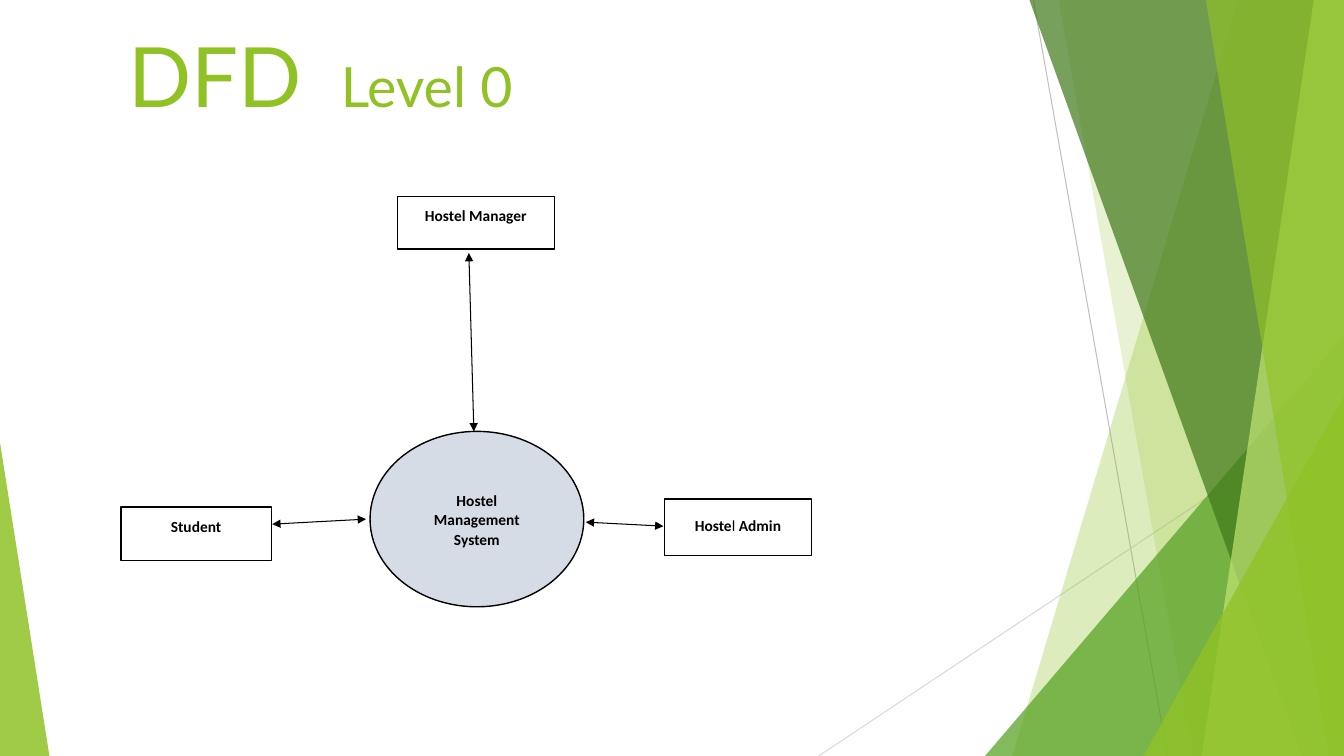
import dataclasses

import lxml.etree
import pptx
import pptx.dml.color
import pptx.enum.shapes
import pptx.enum.text
import pptx.oxml.ns
import pptx.util

Inches = pptx.util.Inches
Pt = pptx.util.Pt
Shape = pptx.enum.shapes.MSO_SHAPE
Anchor = pptx.enum.text.MSO_ANCHOR
Align = pptx.enum.text.PP_ALIGN


@dataclasses.dataclass(frozen=True)
class Theme:
    """Colours, fonts and sizes of the deck."""
    lime: str = "90C226"
    green: str = "54A021"
    forest: str = "3F7819"
    pale: str = "C0E474"
    ink: str = "000000"
    process: str = "D6DCE5"
    grey: str = "BFBFBF"
    light_grey: str = "D9D9D9"
    title_font: str = "Lato"
    label_font: str = "Calibri"
    title_size: float = 59.4
    level_size: float = 39.6
    label_size: float = 11
    outline: float = 1
    hairline: float = 0.75


@dataclasses.dataclass(frozen=True)
class Box:
    """A region in inches."""
    left: float
    top: float
    width: float
    height: float

    def inner(self, left, top, width, height):
        """Return a box placed relative to this one."""
        return Box(self.left + left, self.top + top, width, height)

    def point(self, across, down):
        """Return the slide position of a point in this box."""
        return Inches(self.left + across), Inches(self.top + down)

    def lengths(self):
        """Return left, top, width and height as slide lengths."""
        return [Inches(value) for value in dataclasses.astuple(self)]


THEME = Theme()


def rgb(colour):
    """Turn a hex string into a colour."""
    return pptx.dml.color.RGBColor.from_string(colour)


def add_child(parent, tag, **attributes):
    """Append a drawing element to a parent."""
    return lxml.etree.SubElement(parent, pptx.oxml.ns.qn(tag), attributes)


def add_span(para, text, font, size, colour, bold=False):
    """Add formatted text to a paragraph."""
    span = para.add_run()
    span.text = text
    span.font.name = font
    span.font.size = Pt(size)
    span.font.bold = bold
    span.font.color.rgb = rgb(colour)


def tint(shape, colour, opacity):
    """Fill a shape with a translucent colour and no outline."""
    shape.shadow.inherit = False
    shape.line.fill.background()
    shape.fill.solid()
    shape.fill.fore_color.rgb = rgb(colour)
    for node in shape.element.spPr.iter(pptx.oxml.ns.qn("a:srgbClr")):
        add_child(node, "a:alpha", val=str(opacity * 1000))


def add_triangle(page, box, apex, colour, opacity):
    """Draw a translucent triangle with its apex at a share of the width."""
    triangle = page.shapes.add_shape(Shape.ISOSCELES_TRIANGLE, *box.lengths())
    triangle.adjustments[0] = apex
    tint(triangle, colour, opacity)


def add_band(page, box, top_edge, bottom_edge, colour, opacity):
    """Draw a full-height band from a slanted edge to the right of the box."""
    corners = [(box.width, 0), (box.width, box.height), (bottom_edge, box.height)]
    builder = page.shapes.build_freeform(*box.point(top_edge, 0), scale=1)
    builder.add_line_segments([box.point(*corner) for corner in corners], close=True)
    tint(builder.convert_to_shape(), colour, opacity)


def add_line(page, box, start, end, colour, arrows=False):
    """Draw a thin line, with arrowheads at both ends if wanted."""
    line = page.shapes.add_connector(
        pptx.enum.shapes.MSO_CONNECTOR.STRAIGHT, *box.point(*start), *box.point(*end))
    line.line.color.rgb = rgb(colour)
    line.line.width = Pt(THEME.hairline)
    if arrows:
        outline = line.line._get_or_add_ln()
        for tag in ("a:headEnd", "a:tailEnd"):
            add_child(outline, tag, type="triangle", w="med", len="med")
    add_child(line.element.spPr, "a:effectLst")


def add_facets(page, box):
    """Draw the green facets on the right."""
    add_line(page, box, (2.13, 0), (3.46, box.height), THEME.grey)
    add_line(page, box, (box.width, 4.03), (0, box.height), THEME.light_grey)
    add_band(page, box, 4.16, 1.92, THEME.lime, 30)
    add_band(page, box, 2.38, 3.71, THEME.lime, 20)
    add_triangle(page, box.inner(1.65, 3.33, 3.56, 4.17), 1, THEME.green, 72)
    add_band(page, box, 2.09, 4.79, THEME.forest, 70)
    add_band(page, box, 4.91, 3.8, THEME.pale, 70)
    add_band(page, box, 3.84, 5.06, THEME.lime, 65)
    add_triangle(page, box.inner(3.22, 3.93, 1.99, 3.57), 1, THEME.lime, 80)


def add_title(page, box):
    """Place the title in front of the facets."""
    title = page.shapes.title
    title.element.getparent().append(title.element)
    title.left, title.top, title.width, title.height = box.lengths()
    frame = title.text_frame
    frame.auto_size = pptx.enum.text.MSO_AUTO_SIZE.NONE
    frame.vertical_anchor = Anchor.MIDDLE
    para = frame.paragraphs[0]
    para.alignment = Align.LEFT
    stops = add_child(para._p.get_or_add_pPr(), "a:tabLst")
    add_child(stops, "a:tab", pos=str(Inches(2.11)), algn="l")
    add_span(para, "DFD\t", THEME.title_font, THEME.title_size, THEME.lime)
    add_span(para, "Level 0", THEME.title_font, THEME.level_size, THEME.lime)


def add_node(page, box, lines, kind=Shape.RECTANGLE, fill=None, inset=0,
             anchor=Anchor.TOP):
    """Draw an outlined node; each line is a list of text and bold pairs."""
    node = page.shapes.add_shape(kind, *box.lengths())
    node.shadow.inherit = False
    node.line.color.rgb = rgb(THEME.ink)
    node.line.width = Pt(THEME.outline)
    if fill:
        node.fill.solid()
        node.fill.fore_color.rgb = rgb(fill)
    else:
        node.fill.background()
    frame = node.text_frame
    frame.word_wrap = True
    frame.vertical_anchor = anchor
    frame.margin_left = frame.margin_right = frame.margin_bottom = 0
    frame.margin_top = Inches(inset)
    for index, spans in enumerate(lines):
        para = frame.add_paragraph() if index else frame.paragraphs[0]
        para.alignment = Align.CENTER
        para.line_spacing = 1.07
        for text, bold in spans:
            add_span(para, text, THEME.label_font, THEME.label_size, THEME.ink, bold)


def add_flow_diagram(page, box):
    """Draw the system, its three users and the flows between them."""
    add_node(page, box.inner(2.47, 2.33, 2.12, 1.74),
             [[(word, True)] for word in ("Hostel", "Management", "System")],
             kind=Shape.OVAL, fill=THEME.process, anchor=Anchor.MIDDLE)
    add_node(page, box.inner(2.74, 0, 1.56, 0.52), [[("Hostel Manager", True)]], inset=0.08)
    add_node(page, box.inner(0, 3.08, 1.49, 0.53), [[("Student", True)]], inset=0.09)
    add_node(page, box.inner(5.39, 3, 1.46, 0.56),
             [[("Hoste", True), ("l", False), (" Admin", True)]], inset=0.16)
    flows = [((3.45, 0.56), (3.5, 2.33)), ((1.5, 3.25), (2.43, 3.2)),
             ((4.61, 3.23), (5.38, 3.27))]
    for start, end in flows:
        add_line(page, box, start, end, THEME.ink, arrows=True)


def main():
    """Build and save the deck."""
    deck = pptx.Presentation()
    deck.slide_width, deck.slide_height = Inches(13.33), Inches(7.5)
    page = deck.slides.add_slide(deck.slide_layouts[5])
    add_facets(page, Box(8.12, 0, 5.21, 7.5))
    add_triangle(page, Box(0, 4.39, 0.49, 3.11), 0, THEME.lime, 85)
    add_title(page, Box(1.17, 0.19, 11, 1.1))
    add_flow_diagram(page, Box(1.2, 1.95, 6.85, 4.07))
    deck.save("out.pptx")


if __name__ == "__main__":
    main()
